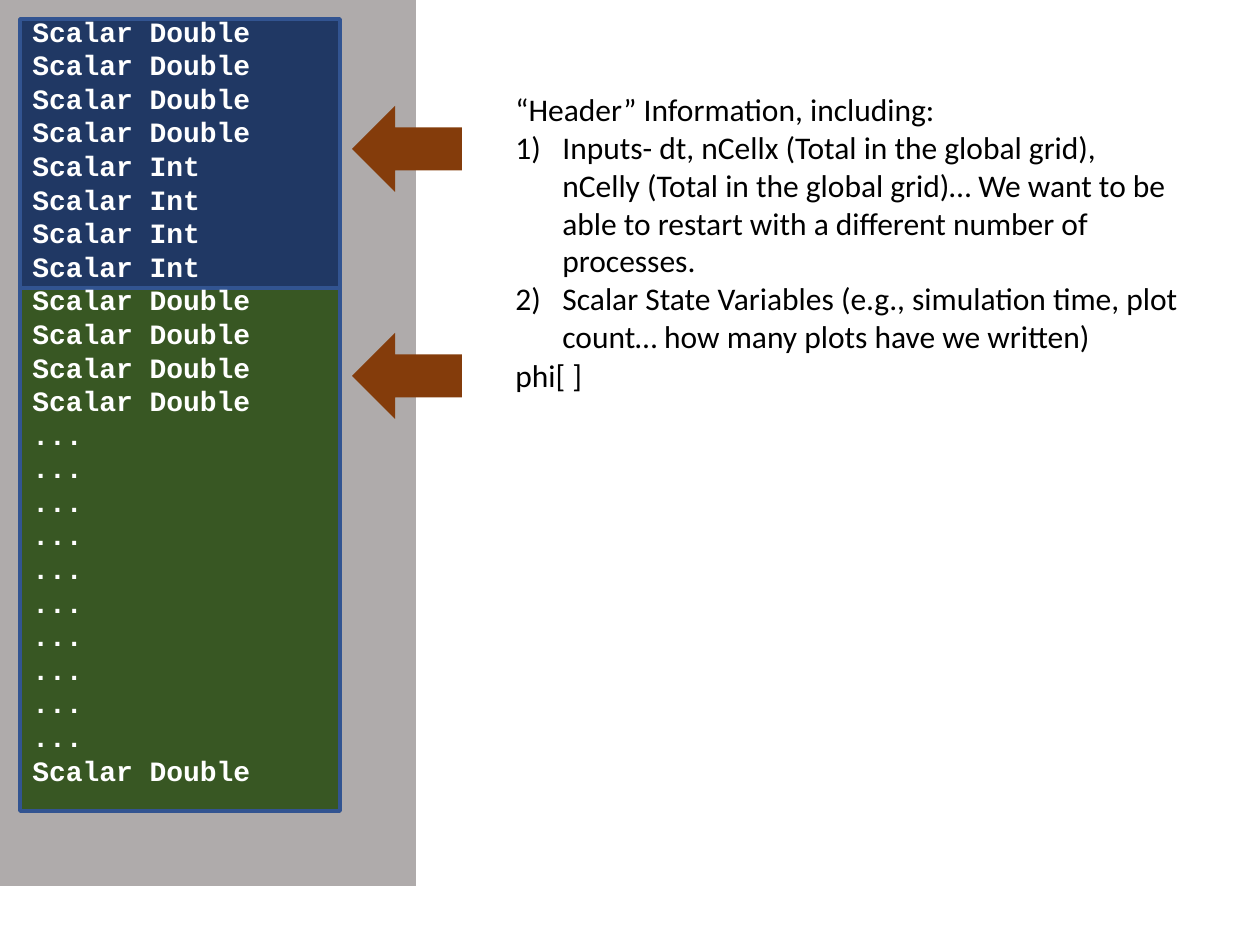
from dataclasses import dataclass

from lxml import etree
from pptx import Presentation
from pptx import util as u
from pptx.dml.color import RGBColor
from pptx.enum import shapes, text
from pptx.oxml import ns

PX = 914400 / 126  # EMU in one px


@dataclass(frozen=True)
class Theme:
    panel: str = "AFABAB"
    header: str = "203864"
    data: str = "385723"
    outline: str = "325491"
    arrow: str = "843C0B"
    light: str = "FFFFFF"
    dark: str = "000000"
    code_font: str = "Courier New"
    body_font: str = "Calibri"
    code_size: int = 16
    body_size: int = 18
    line_width: int = 2


THEME = Theme()

RECORDS = (["Scalar Double"] * 4 + ["Scalar Int"] * 4 + ["Scalar Double"] * 4
           + ["..."] * 10 + ["Scalar Double"])
HEADING = "“Header” Information, including:"
ITEMS = [
    "Inputs- dt, nCellx (Total in the global grid), nCelly (Total in the global grid)… "
    "We want to be able to restart with a different number of processes.",
    "Scalar State Variables (e.g., simulation time, plot count… "
    "how many plots have we written)",
]


def px(n):
    return u.Emu(round(n * PX))


def add_block(s, kind, box, fill, line=None):
    sp = s.shapes.add_shape(kind, *map(px, box))
    sp.shadow.inherit = False
    sp.fill.solid()
    sp.fill.fore_color.rgb = RGBColor.from_string(fill)
    if line:
        sp.line.color.rgb = RGBColor.from_string(line)
        sp.line.width = u.Pt(THEME.line_width)
    else:
        sp.line.fill.background()
    return sp


def add_text(s, box, lines, font, size, color, bold=False):
    tf = s.shapes.add_textbox(*map(px, box)).text_frame
    tf.word_wrap = True
    tf.auto_size = text.MSO_AUTO_SIZE.SHAPE_TO_FIT_TEXT
    for i, line in enumerate(lines):
        p = tf.add_paragraph() if i else tf.paragraphs[0]
        r = p.add_run()
        r.text = line
        r.font.name = font
        r.font.size = u.Pt(size)
        r.font.bold = bold
        r.font.color.rgb = RGBColor.from_string(color)
    return tf


def number_paragraph(p, indent):
    pPr = p._p.get_or_add_pPr()
    pPr.set("marL", str(px(indent)))
    pPr.set("indent", str(-px(indent)))
    font = etree.SubElement(pPr, ns.qn("a:buFont"))
    font.set("typeface", "+mj-lt")
    etree.SubElement(pPr, ns.qn("a:buAutoNum")).set("type", "arabicParenR")


def main():
    prs = Presentation()
    prs.slide_width, prs.slide_height = px(1260), px(945)
    s = prs.slides.add_slide(prs.slide_layouts[6])
    rect = shapes.MSO_SHAPE.RECTANGLE

    # File layout: grey panel with header and data blocks
    add_block(s, rect, (0, 0, 416, 886), THEME.panel)
    add_block(s, rect, (20, 19, 320, 269), THEME.header, THEME.outline)
    add_block(s, rect, (20, 288, 320, 523), THEME.data, THEME.outline)
    add_text(s, (20, 8, 406, 850), RECORDS, THEME.code_font,
             THEME.code_size, THEME.light, bold=True)

    # Explanations of the two blocks
    body = (THEME.body_font, THEME.body_size, THEME.dark)
    tf = add_text(s, (503, 84, 689, 315), [HEADING, *ITEMS], *body)
    for p in tf.paragraphs[1:]:
        number_paragraph(p, 47)
    add_text(s, (503, 350, 689, 50), ["phi[ ]"], *body)

    # Arrows from explanations to blocks
    for top in (106, 333):
        add_block(s, shapes.MSO_SHAPE.LEFT_ARROW, (352, top, 110, 86), THEME.arrow)

    prs.save("out.pptx")


if __name__ == "__main__":
    main()
